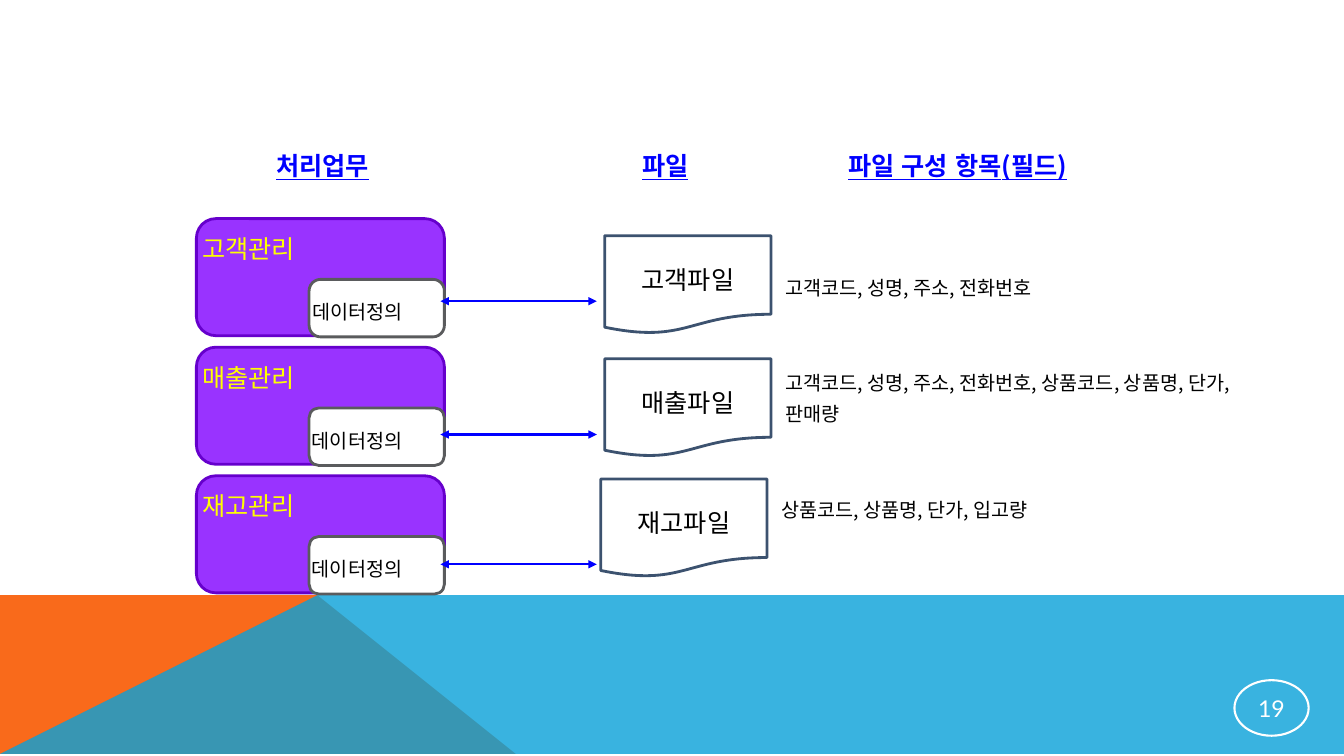
import pptx
import pptx.util
import pptx.dml.color
import pptx.enum.dml
import pptx.enum.lang
import pptx.enum.shapes
import pptx.enum.text
import pptx.oxml
import pptx.oxml.ns

Cm = pptx.util.Cm
Pt = pptx.util.Pt
SHAPE = pptx.enum.shapes.MSO_SHAPE
ALIGN = pptx.enum.text.PP_ALIGN
ANCHOR = pptx.enum.text.MSO_ANCHOR
KOREAN = "Noto Sans CJK KR"
WIDE, HIGH = 33.87, 19.05

HEADS = [("처리업무", 6.71, 4.04), ("파일", 15.93, 2.34),
         ("파일 구성 항목(필드)", 21.13, 8.59)]
# job, file, fields, file left and top, fields top, arrow height
ROWS = [
    ("고객관리", "고객파일", "고객코드, 성명, 주소, 전화번호", 15.24, 5.94, 6.65, 7.59),
    ("매출관리", "매출파일", "고객코드, 성명, 주소, 전화번호, 상품코드, 상품명, 단가, 판매량",
     15.24, 9.04, 9.04, 10.95),
    ("재고관리", "재고파일", "상품코드, 상품명, 단가, 입고량", 15.14, 12.07, 12.24, 14.22),
]
JOB_TOP, JOB_STEP = 5.51, 3.24


def color(text):
    return pptx.dml.color.RGBColor.from_string(text)


def write(shape, text, size, ink, font=KOREAN, bold=False, align=ALIGN.LEFT,
          anchor=ANCHOR.TOP, pads=(0.25, 0.13, 0.25, 0.13), space=1.3):
    frame = shape.text_frame
    frame.word_wrap = True
    frame.vertical_anchor = anchor
    (frame.margin_left, frame.margin_top,
     frame.margin_right, frame.margin_bottom) = [Cm(pad) for pad in pads]
    frame.text = text
    line = frame.paragraphs[0]
    line.alignment = align
    line.line_spacing = space
    run = line.runs[0]
    run.font.size = Pt(size)
    run.font.name = font
    run.font.bold = run.font.underline = bold
    run.font.color.rgb = color(ink)
    run.font.language_id = pptx.enum.lang.MSO_LANGUAGE_ID.KOREAN
    east = pptx.oxml.parse_xml(
        f'<a:ea {pptx.oxml.ns.nsdecls("a")} typeface="{font}"/>')
    run.font._element.find(pptx.oxml.ns.qn("a:latin")).addnext(east)


def label(slide, text, left, top, width, height, size, ink, bold=False):
    box = slide.shapes.add_textbox(Cm(left), Cm(top), Cm(width), Cm(height))
    write(box, text, size, ink, bold=bold)


def block(slide, kind, left, top, width, height, edge, fill=None, weight=2):
    shape = slide.shapes.add_shape(kind, Cm(left), Cm(top), Cm(width), Cm(height))
    shape.shadow.inherit = False
    if fill:
        shape.fill.solid()
        shape.fill.fore_color.rgb = color(fill)
    else:
        shape.fill.background()
    shape.line.color.rgb = color(edge)
    shape.line.width = Pt(weight)
    return shape


def arrow(slide, left, right, level):
    """Draw a level line with a head at both ends."""
    line = slide.shapes.add_connector(
        pptx.enum.shapes.MSO_CONNECTOR.STRAIGHT,
        Cm(left), Cm(level), Cm(right), Cm(level))
    line.line.color.rgb = color("0000FF")
    line.line.width = Pt(1.5)
    names = pptx.oxml.ns.nsdecls("a")
    for end in ("headEnd", "tailEnd"):
        line.line._ln.append(pptx.oxml.parse_xml(f'<a:{end} {names} type="triangle"/>'))
    line._element.spPr.append(pptx.oxml.parse_xml(f"<a:effectLst {names}/>"))


def band(slide, points, fill, alpha=100):
    form = slide.shapes.build_freeform(*points[0], scale=Cm(1))
    form.add_line_segments(points[1:], close=True)
    shape = form.convert_to_shape()
    shape.shadow.inherit = False
    shape.fill.solid()
    shape.fill.fore_color.rgb = color(fill)
    shape.line.fill.background()
    if alpha < 100:
        tone = shape.fill._xPr.find(".//" + pptx.oxml.ns.qn("a:srgbClr"))
        tone.append(pptx.oxml.parse_xml(
            f'<a:alpha {pptx.oxml.ns.nsdecls("a")} val="{alpha * 1000}"/>'))


def footer(slide, top):
    band(slide, [(0, HIGH), (0, top), (7.57, top), (13.23, HIGH)], "F96A1B")
    band(slide, [(0, HIGH), (7.54, top), (WIDE, top), (WIDE, HIGH)], "08A1D9", 80)
    page = block(slide, SHAPE.OVAL, 31.11, top + 1.72, 1.87, 1.4, "FFFFFF", weight=1.5)
    write(page, "19", 16.5, "FFFFFF", font="Lato", align=ALIGN.CENTER,
          anchor=ANCHOR.MIDDLE, pads=(0.03,) * 4, space=1)


def job(slide, text, left, top, width, height, curve):
    """Draw a task box with its data definition in the lower right corner."""
    task = block(slide, SHAPE.ROUNDED_RECTANGLE, left, top, width, height,
                 "6600CC", "9933FF")
    write(task, text, 18, "FFFF00", pads=(0, 0, 0.2, 0))
    part = block(slide, SHAPE.ROUNDED_RECTANGLE, left + width - 3.41, top + 1.53,
                 3.41, 1.45, "5A5B5D", "FFFFFF")
    part.adjustments[0] = curve
    write(part, "데이터정의", 14, "000000", anchor=ANCHOR.MIDDLE, pads=(0,) * 4)


def record(slide, text, left, top):
    page = block(slide, SHAPE.FLOWCHART_DOCUMENT, left, top, 4.19, 2.47, "3C526F")
    write(page, text, 18, "000000", align=ALIGN.CENTER, anchor=ANCHOR.MIDDLE)


def main():
    deck = pptx.Presentation()
    deck.slide_width, deck.slide_height = Cm(WIDE), Cm(HIGH)
    slide = deck.slides.add_slide(deck.slide_layouts[6])
    footer(slide, 15.42)
    for text, left, width in HEADS:
        label(slide, text, left, 3.43, width, 1.85, 18, "0000FF", bold=True)
    for row, (task, file, fields, left, top, list_top, level) in enumerate(ROWS):
        job(slide, task, 4.95, JOB_TOP + row * JOB_STEP, 6.25, 2.95,
            0.17 if row else 0.2)
        record(slide, file, left, top)
        label(slide, fields, left + 4.3, list_top, 13.06, 1.52, 14, "000000")
        arrow(slide, 11.1, 15.04, level)
    deck.save("out.pptx")


if __name__ == "__main__":
    main()
